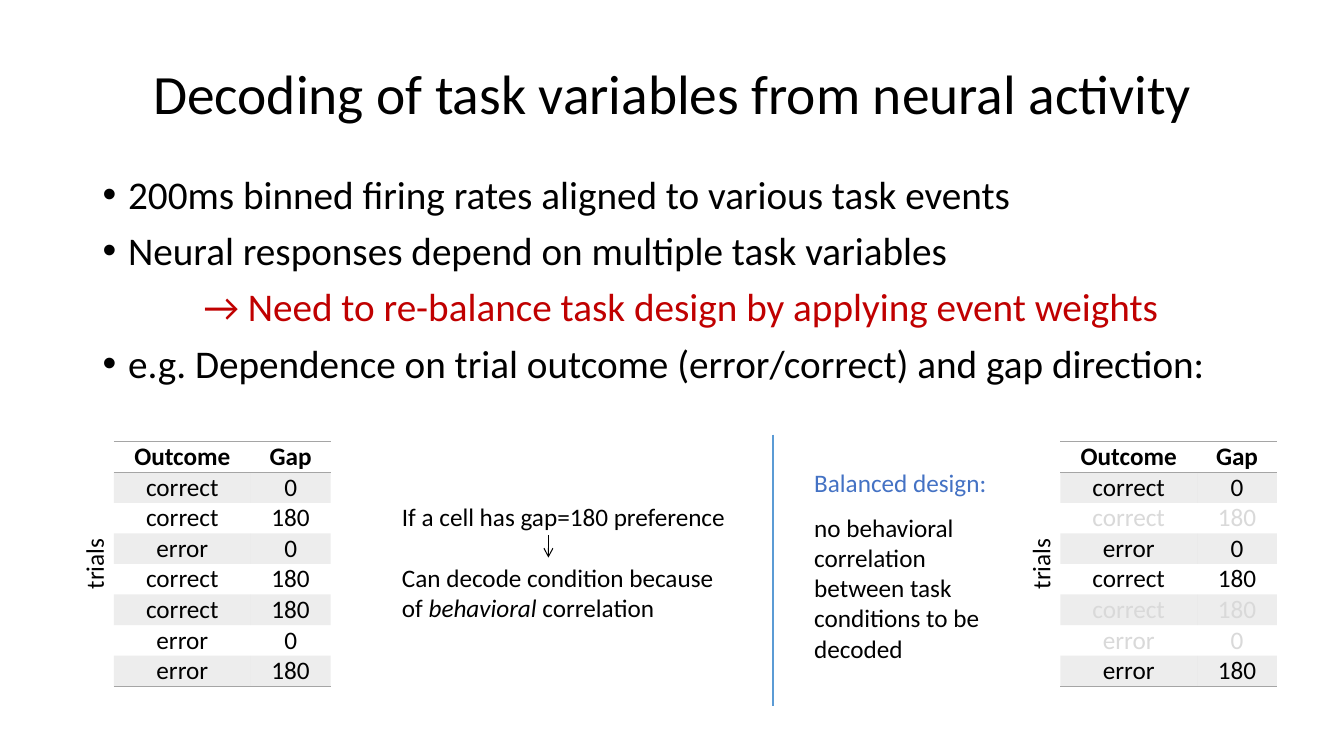
from dataclasses import dataclass

from lxml import etree
from pptx import Presentation
from pptx.dml.color import RGBColor
from pptx.enum.shapes import MSO_CONNECTOR
from pptx.enum.text import MSO_ANCHOR, PP_ALIGN
from pptx.oxml.ns import qn
from pptx.util import Cm, Pt

STRAIGHT = MSO_CONNECTOR.STRAIGHT
MIDDLE = MSO_ANCHOR.MIDDLE
LEFT, CENTER = PP_ALIGN.LEFT, PP_ALIGN.CENTER
TITLE_ONLY = 5
NO_STYLE_NO_GRID = "{2D5ABB26-0587-4C30-8999-92F81FD0307C}"


@dataclass(frozen=True)
class Theme:
    font: str = "Calibri"
    text: str = "000000"
    warning: str = "C00000"
    heading: str = "4472C4"
    divider: str = "5B9BD5"
    band: str = "A5A5A5"
    faded: str = "D9D9D9"
    title_size: float = 39.6
    body_size: float = 28
    small_size: float = 18


THEME = Theme()

# Outcome and gap of each trial; the balanced design drops some of them
TRIALS = [("correct", "0"), ("correct", "180"), ("error", "0"), ("correct", "180"),
          ("correct", "180"), ("error", "0"), ("error", "180")]
DROPPED_TRIALS = {2, 5, 6}


def add_run(paragraph, text, size=THEME.small_size, color=THEME.text, bold=False, italic=False):
    run = paragraph.add_run()
    run.text = text
    font = run.font
    font.name, font.size = THEME.font, Pt(size)
    font.bold, font.italic = bold, italic
    font.color.rgb = RGBColor.from_string(color)


def add_text_box(slide, left, top, width, height):
    box = slide.shapes.add_textbox(Cm(left), Cm(top), Cm(width), Cm(height))
    box.text_frame.word_wrap = True
    return box


def add_line(slide, x, top, bottom, color, width):
    line = slide.shapes.add_connector(STRAIGHT, Cm(x), Cm(top), Cm(x), Cm(bottom))
    line.line.color.rgb = RGBColor.from_string(color)
    line.line.width = Pt(width)
    etree.SubElement(line._element.spPr, qn("a:effectLst"))
    return line


def set_border(cell, side):
    properties = cell._tc.get_or_add_tcPr()
    border = etree.SubElement(properties, qn(f"a:{side}"), w=str(Pt(1)))
    fill = etree.SubElement(border, qn("a:solidFill"))
    etree.SubElement(fill, qn("a:srgbClr"), val=THEME.band)


def set_band(cell):
    cell.fill.solid()
    cell.fill.fore_color.rgb = RGBColor.from_string(THEME.band)
    color = cell._tc.tcPr.find(qn("a:solidFill")).find(qn("a:srgbClr"))
    etree.SubElement(color, qn("a:alpha"), val="20000")


def add_title(slide, left, top, width, height):
    title = slide.shapes.title
    title.left, title.top, title.width, title.height = Cm(left), Cm(top), Cm(width), Cm(height)
    title.text_frame.vertical_anchor = MIDDLE
    paragraph = title.text_frame.paragraphs[0]
    paragraph.alignment = CENTER
    paragraph.line_spacing = 0.9
    add_run(paragraph, "Decoding of task variables from neural activity", THEME.title_size)


def add_bullets(slide, left, top, width, height):
    lines = [
        ("200ms binned firing rates aligned to various task events", True),
        ("Neural responses depend on multiple task variables", True),
        ("→ Need to re-balance task design by applying event weights", False),
        ("e.g. Dependence on trial outcome (error/correct) and gap direction:", True),
    ]
    frame = add_text_box(slide, left, top, width, height).text_frame
    for index, (text, bulleted) in enumerate(lines):
        paragraph = frame.add_paragraph() if index else frame.paragraphs[0]
        paragraph.line_spacing = 0.9
        paragraph.space_before = Pt(10)
        properties = paragraph._p.get_or_add_pPr()
        if bulleted:
            properties.set("marL", str(Cm(0.64)))
            properties.set("indent", str(Cm(-0.64)))
            etree.SubElement(properties, qn("a:buFont"), typeface="Arial")
            etree.SubElement(properties, qn("a:buChar"), char="•")
        else:
            properties.set("marL", str(Cm(2.54)))
        add_run(paragraph, text, THEME.body_size, THEME.text if bulleted else THEME.warning)


def add_trial_table(slide, left, top, dropped=frozenset()):
    rows = [("Outcome", "Gap"), *TRIALS]
    column_widths, row_height = (3.45, 2.01), 0.77
    height = row_height * len(rows)
    frame = slide.shapes.add_table(len(rows), len(column_widths), Cm(left), Cm(top),
                                   Cm(sum(column_widths)), Cm(height))
    table = frame.table
    table.first_row = table.horz_banding = False
    table._tbl.tblPr.find(qn("a:tableStyleId")).text = NO_STYLE_NO_GRID
    for column, width in zip(table.columns, column_widths):
        column.width = Cm(width)

    for row_index, values in enumerate(rows):
        table.rows[row_index].height = Cm(row_height)
        header = row_index == 0
        for column_index, value in enumerate(values):
            cell = table.cell(row_index, column_index)
            cell.margin_left = cell.margin_right = cell.margin_top = cell.margin_bottom = 0
            if header:
                set_border(cell, "lnT")
            if header or row_index == len(TRIALS):
                set_border(cell, "lnB")
            if row_index % 2:
                set_band(cell)
            else:
                cell.fill.background()
            paragraph = cell.text_frame.paragraphs[0]
            paragraph.alignment = CENTER
            color = THEME.faded if row_index in dropped else THEME.text
            add_run(paragraph, value, color=color, bold=header)

    # Row label, turned upright beside the table
    label_width, label_height = 2.79, 1.02
    label = add_text_box(slide, left - 0.5 - label_width / 2,
                         top + (height - label_height) / 2, label_width, label_height)
    label.rotation = 270
    paragraph = label.text_frame.paragraphs[0]
    paragraph.alignment = CENTER
    add_run(paragraph, "trials")


def add_decoding_note(slide, left, top, width, height):
    frame = add_text_box(slide, left, top, width, height).text_frame
    add_run(frame.paragraphs[0], "If a cell has gap=180 preference")
    conclusion = frame.add_paragraph()
    conclusion.space_before = Pt(22)
    add_run(conclusion, "Can decode condition because of ")
    add_run(conclusion, "behavioral", italic=True)
    add_run(conclusion, " correlation")

    arrow = add_line(slide, left + 3.94, top + 0.99, top + 1.55, THEME.text, 0.75)
    etree.SubElement(arrow.line._get_or_add_ln(), qn("a:tailEnd"), type="arrow")


def add_balanced_note(slide, left, top, width, height):
    frame = add_text_box(slide, left, top, width, height).text_frame
    heading = frame.paragraphs[0]
    heading.alignment = LEFT
    heading.space_after = Pt(10)
    add_run(heading, "Balanced design:", color=THEME.heading)
    add_run(frame.add_paragraph(),
            "no behavioral correlation between task conditions to be decoded")


def main():
    presentation = Presentation()
    presentation.slide_width, presentation.slide_height = Cm(33.87), Cm(19.05)
    slide = presentation.slides.add_slide(presentation.slide_layouts[TITLE_ONLY])

    # Title and main points
    add_title(slide, 2.34, 0.89, 29.21, 3.07)
    add_bullets(slide, 2.34, 4.29, 29.21, 12.09)

    # Unbalanced trials
    add_trial_table(slide, 2.87, 11.13)
    add_decoding_note(slide, 9.88, 12.5, 8.74, 3.33)

    # Balanced trials
    add_line(slide, 19.48, 10.95, 17.78, THEME.divider, 1.5)
    add_balanced_note(slide, 20.27, 11.66, 5, 5.23)
    add_trial_table(slide, 26.72, 11.13, DROPPED_TRIALS)

    presentation.save("out.pptx")


if __name__ == "__main__":
    main()
